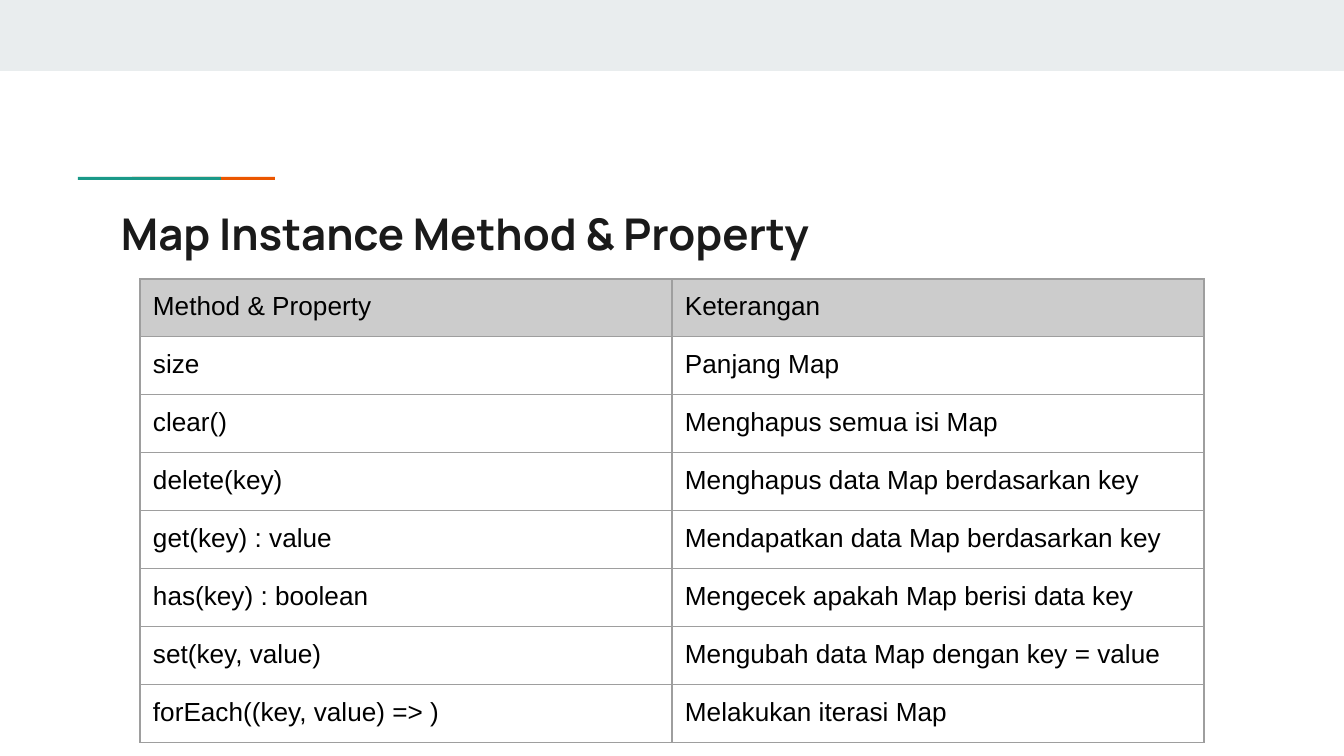
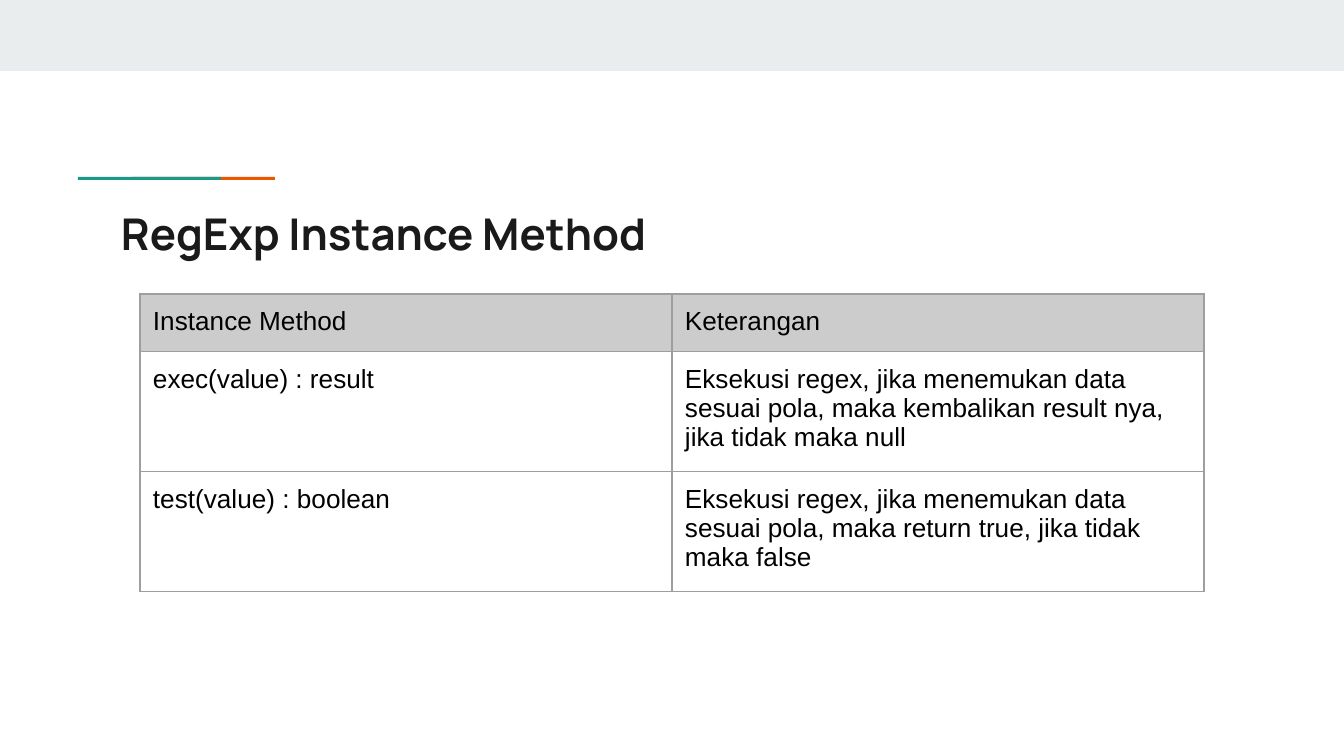
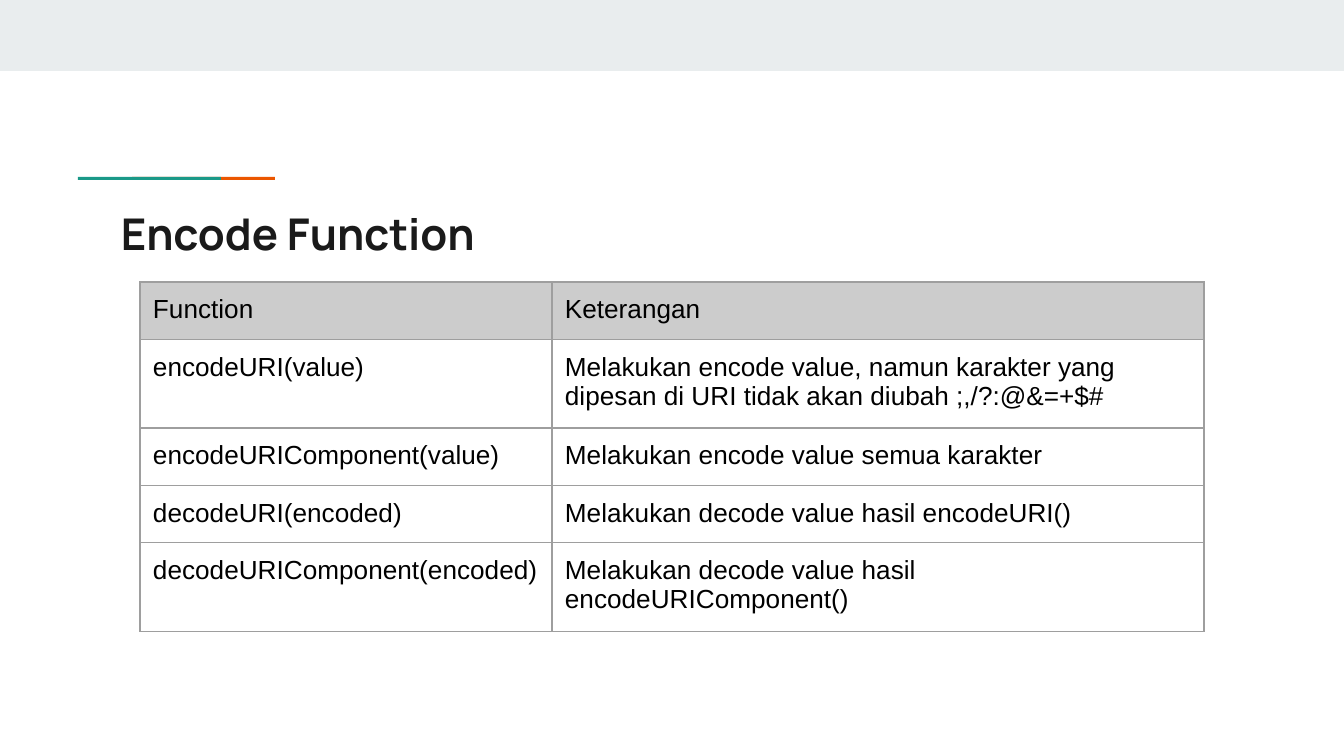
from lxml import etree
from pptx import Presentation
from pptx import util as u
from pptx.dml.color import RGBColor
from pptx.enum import shapes, text
from pptx.oxml.ns import qn

PX = 9144000 / 1344
COLORS = {
    "band": "E9EDEE",
    "teal": "1A9988",
    "orange": "EB5600",
    "title": "1A1A1A",
    "body": "000000",
    "header": "CCCCCC",
    "border": "9E9E9E",
    "page": "FFFFFF",
}


def px(length):
    return u.Emu(round(length * PX))


def rgb(name):
    return RGBColor.from_string(COLORS[name])


class Deck:
    title_font = ("Manrope", 23.4, "title", True)
    body_font = ("Arial", 14, "body", False)
    inset = 13
    table_left = 140

    def __init__(self):
        self.prs = Presentation()
        self.prs.slide_width = px(1344)
        self.prs.slide_height = px(756)
        self.slide = None

    def new_slide(self, heading):
        self.slide = self.prs.slides.add_slide(self.prs.slide_layouts[6])
        self.slide.background.fill.solid()
        self.slide.background.fill.fore_color.rgb = rgb("page")
        self.bar(0, 0, 1344, 71, "band")
        self.bar(132, 177, 143, 3, "orange")
        self.bar(78, 177, 143, 3, "teal")
        self.title(heading)

    def bar(self, left, top, width, height, color):
        band = self.slide.shapes.add_shape(
            shapes.MSO_SHAPE.RECTANGLE, px(left), px(top), px(width), px(height))
        band.shadow.inherit = False
        band.fill.solid()
        band.fill.fore_color.rgb = rgb(color)
        band.line.fill.background()

    def add_words(self, paragraph, words, style):
        run = paragraph.add_run()
        run.text = words
        run.font.name, size, color, run.font.bold = style
        run.font.size = u.Pt(size)
        run.font.color.rgb = rgb(color)

    def set_insets(self, holder):
        holder.margin_left = holder.margin_right = px(self.inset)
        holder.margin_top = holder.margin_bottom = px(self.inset)

    def title(self, heading):
        frame = self.slide.shapes.add_textbox(px(108), px(194), px(1130), px(79)).text_frame
        frame.word_wrap = True
        frame.vertical_anchor = text.MSO_ANCHOR.MIDDLE
        self.set_insets(frame)
        self.add_words(frame.paragraphs[0], heading, self.title_font)

    def border(self, cell):
        properties = cell._tc.get_or_add_tcPr()
        for index, side in enumerate(("a:lnL", "a:lnR", "a:lnT", "a:lnB")):
            line = etree.Element(qn(side), w=str(u.Pt(0.75)))
            fill = etree.SubElement(line, qn("a:solidFill"))
            etree.SubElement(fill, qn("a:srgbClr"), val=COLORS["border"])
            properties.insert(index, line)

    def table(self, top, widths, heights, entries):
        header_height, row_height = heights
        row_heights = [header_height] + [row_height] * (len(entries) - 1)
        grid = self.slide.shapes.add_table(
            len(entries), len(widths), px(self.table_left), px(top),
            px(sum(widths)), px(sum(row_heights))).table
        grid.first_row = grid.horz_banding = False
        for column, width in zip(grid.columns, widths):
            column.width = px(width)
        for row, height, entry in zip(grid.rows, row_heights, entries):
            row.height = px(height)
            for cell, words in zip(row.cells, entry):
                self.set_insets(cell)
                if entry is entries[0]:
                    cell.fill.solid()
                    cell.fill.fore_color.rgb = rgb("header")
                else:
                    cell.fill.background()
                self.border(cell)
                self.add_words(cell.text_frame.paragraphs[0], words, self.body_font)


MAP_MEMBERS = [
    ("Method & Property", "Keterangan"),
    ("size", "Panjang Map"),
    ("clear()", "Menghapus semua isi Map"),
    ("delete(key)", "Menghapus data Map berdasarkan key"),
    ("get(key) : value", "Mendapatkan data Map berdasarkan key"),
    ("has(key) : boolean", "Mengecek apakah Map berisi data key"),
    ("set(key, value)", "Mengubah data Map dengan key = value"),
    ("forEach((key, value) => )", "Melakukan iterasi Map"),
]
REGEXP_METHODS = [
    ("Instance Method", "Keterangan"),
    ("exec(value) : result",
     "Eksekusi regex, jika menemukan data sesuai pola, "
     "maka kembalikan result nya, jika tidak maka null"),
    ("test(value) : boolean",
     "Eksekusi regex, jika menemukan data sesuai pola, "
     "maka return true, jika tidak maka false"),
]
ENCODE_FUNCTIONS = [
    ("Function", "Keterangan"),
    ("encodeURI(value)",
     "Melakukan encode value, namun karakter yang dipesan "
     "di URI tidak akan diubah ;,/?:@&=+$#"),
    ("encodeURIComponent(value)", "Melakukan encode value semua karakter"),
    ("decodeURI(encoded)", "Melakukan decode value hasil encodeURI()"),
    ("decodeURIComponent(encoded)", "Melakukan decode value hasil encodeURIComponent()"),
]
TOPICS = [
    ("Map Instance Method & Property", 279, (532, 532), (46, 58), MAP_MEMBERS),
    ("RegExp Instance Method", 294, (532, 532), (56, 56), REGEXP_METHODS),
    ("Encode Function", 282, (412, 652), (56, 56), ENCODE_FUNCTIONS),
]


def main():
    deck = Deck()
    for heading, top, widths, heights, entries in TOPICS:
        deck.new_slide(heading)
        deck.table(top, widths, heights, entries)
    deck.prs.save("out.pptx")


if __name__ == "__main__":
    main()
